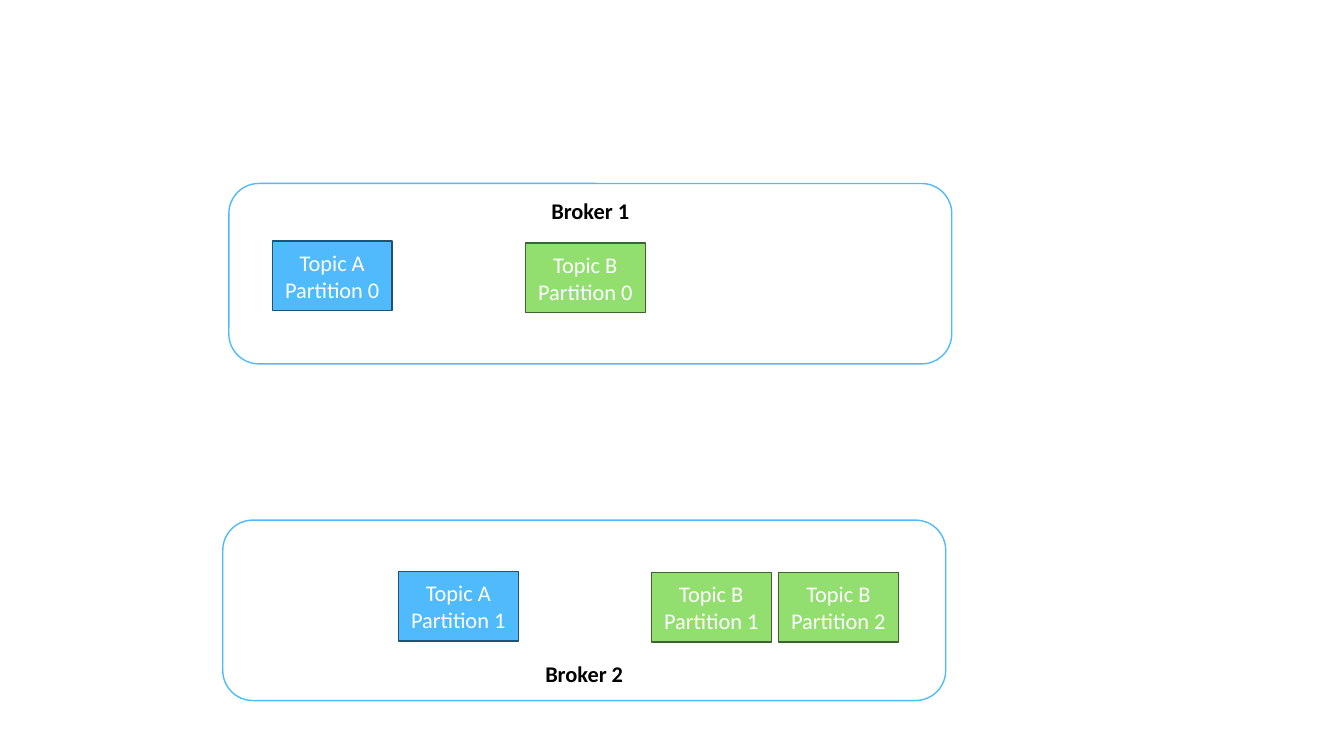
from dataclasses import dataclass

from pptx import Presentation
from pptx.dml.color import RGBColor
from pptx.enum.shapes import MSO_SHAPE as Shape
from pptx.enum.text import MSO_ANCHOR as Anchor, PP_ALIGN as Align
from pptx.slide import Slide
from pptx.util import Inches, Pt


@dataclass(frozen=True)
class Theme:
    font: str = "Calibri"
    text_size: int = 16
    line_width: int = 1
    white: str = "FFFFFF"
    black: str = "000000"
    blue: str = "4FBAFC"
    dark_blue: str = "23526E"
    green: str = "92DF70"
    dark_green: str = "406231"


THEME = Theme()


@dataclass(frozen=True)
class Broker:
    name: str
    left: float
    top: float
    anchor: Anchor


@dataclass(frozen=True)
class Topic:
    name: str
    fill: str
    line: str


@dataclass(frozen=True)
class Partition:
    topic: Topic
    number: int
    left: float
    top: float


BROKER_SIZE = (7.17, 1.79)
PARTITION_SIZE = (1.19, 0.69)

BROKERS = [
    Broker("Broker 1", 2.27, 1.82, Anchor.TOP),
    Broker("Broker 2", 2.21, 5.16, Anchor.BOTTOM),
]

TOPIC_A = Topic("Topic A", THEME.blue, THEME.dark_blue)
TOPIC_B = Topic("Topic B", THEME.green, THEME.dark_green)

PARTITIONS = [
    Partition(TOPIC_A, 0, 2.7, 2.39),
    Partition(TOPIC_B, 0, 5.21, 2.41),
    Partition(TOPIC_A, 1, 3.95, 5.67),
    Partition(TOPIC_B, 1, 6.46, 5.68),
    Partition(TOPIC_B, 2, 7.72, 5.68),
]


def add_box(page: Slide, text: str, *, kind: Shape, at: tuple[float, float],
            size: tuple[float, float], fill: str, line: str, color: str,
            anchor: Anchor = Anchor.MIDDLE, bold: bool = False) -> None:
    box = page.shapes.add_shape(kind, *map(Inches, at + size))
    box.shadow.inherit = False
    box.fill.solid()
    box.fill.fore_color.rgb = RGBColor.from_string(fill)
    box.line.color.rgb = RGBColor.from_string(line)
    box.line.width = Pt(THEME.line_width)
    frame = box.text_frame
    frame.word_wrap = True
    frame.vertical_anchor = anchor
    frame.text = text
    for para in frame.paragraphs:
        para.alignment = Align.CENTER
        for span in para.runs:
            span.font.name = THEME.font
            span.font.size = Pt(THEME.text_size)
            span.font.bold = bold
            span.font.color.rgb = RGBColor.from_string(color)


def add_broker(page: Slide, broker: Broker) -> None:
    add_box(page, broker.name, kind=Shape.ROUNDED_RECTANGLE,
            at=(broker.left, broker.top), size=BROKER_SIZE,
            fill=THEME.white, line=THEME.blue, color=THEME.black,
            anchor=broker.anchor, bold=True)


def add_partition(page: Slide, partition: Partition) -> None:
    topic = partition.topic
    add_box(page, f"{topic.name}\nPartition {partition.number}",
            kind=Shape.RECTANGLE, at=(partition.left, partition.top),
            size=PARTITION_SIZE, fill=topic.fill, line=topic.line,
            color=THEME.white)


def main() -> None:
    deck = Presentation()
    deck.slide_width = Inches(13.33)
    deck.slide_height = Inches(7.5)
    page = deck.slides.add_slide(deck.slide_layouts[6])
    for broker in BROKERS:
        add_broker(page, broker)
    for partition in PARTITIONS:
        add_partition(page, partition)
    deck.save("out.pptx")


if __name__ == "__main__":
    main()
